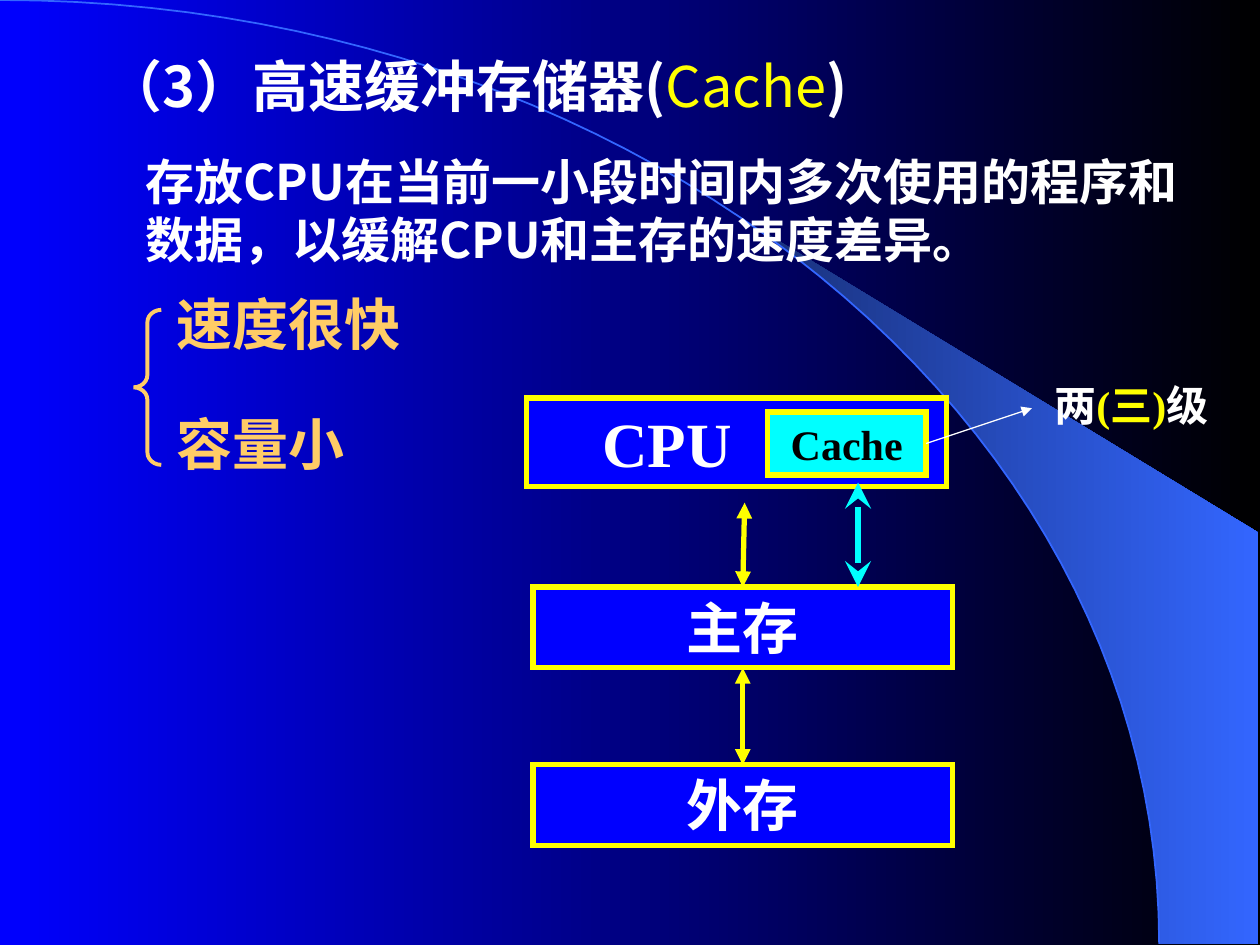
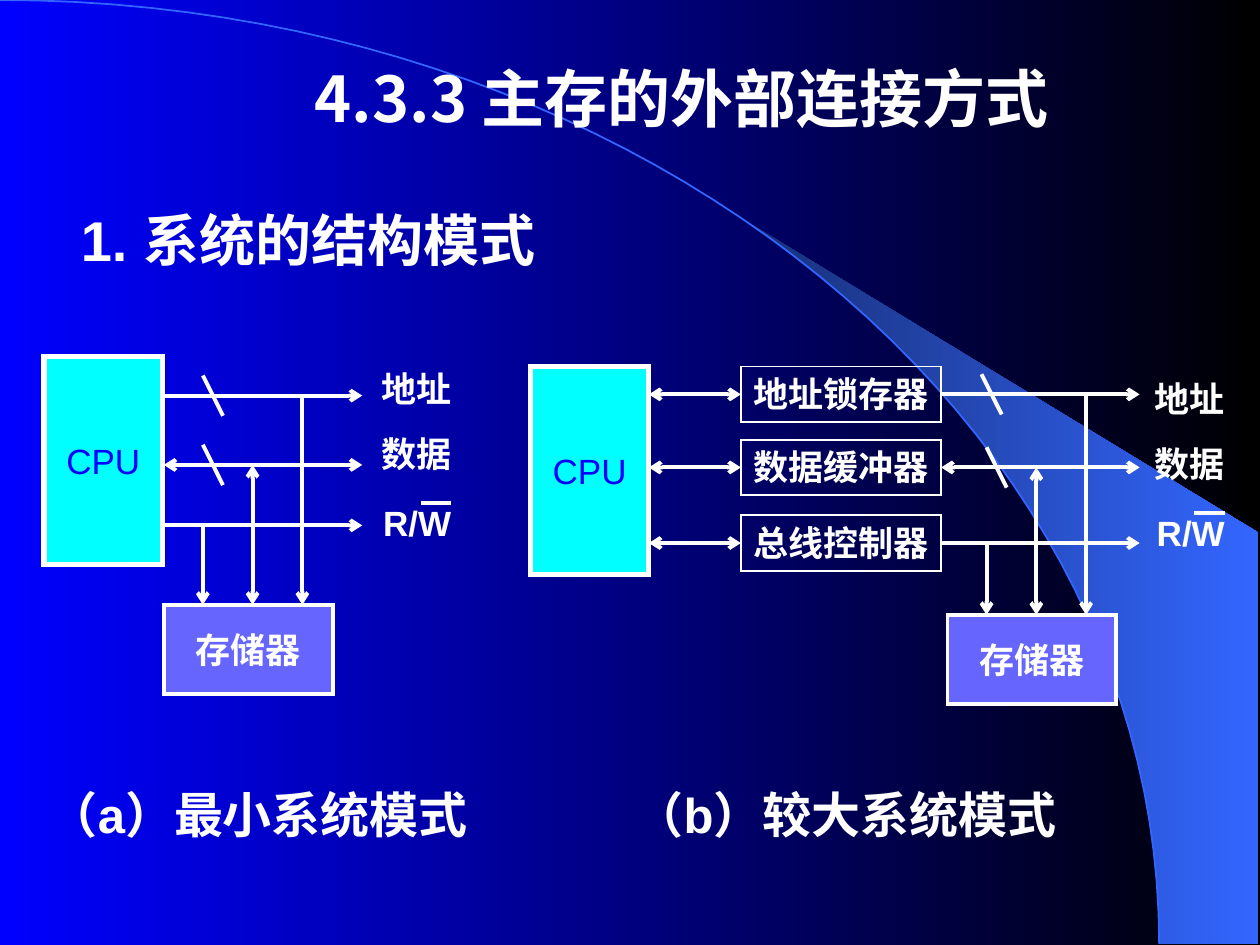
from dataclasses import dataclass
from typing import NamedTuple, Optional

from lxml import etree
from pptx import Presentation
from pptx.dml.color import RGBColor
from pptx.enum import shapes, text
from pptx.oxml import ns
from pptx.util import Emu, Inches, Pt

SLIDE_WIDTH, SLIDE_HEIGHT = Inches(10), Inches(7.5)
COLUMNS, ROWS = 100, 75
LEFT, CENTER, RIGHT = text.PP_ALIGN.LEFT, text.PP_ALIGN.CENTER, text.PP_ALIGN.RIGHT
TOP_SIDE, LEFT_SIDE, BOTTOM_SIDE, RIGHT_SIDE = range(4)


@dataclass(frozen=True)
class Theme:
    """Colours, fonts and type sizes of the deck."""
    blue: str = "0000FF"
    black: str = "000000"
    white: str = "FFFFFF"
    yellow: str = "FFFF00"
    cyan: str = "00FFFF"
    amber: str = "FFCC66"
    violet: str = "6666FF"
    arc: str = "3366FF"
    wedge: str = "182F76"
    cjk: str = "Noto Sans CJK SC"
    sans: str = "Arial"
    serif: str = "Times New Roman"
    title: int = 36
    heading: int = 32
    body: int = 28
    note: int = 24
    label: int = 20
    heavy: float = 3
    medium: float = 2.25
    thin: float = 1
    hair: float = 0.75


THEME = Theme()


class Span(NamedTuple):
    """A stretch of text in one style."""
    words: str
    size: int
    font: str = THEME.cjk
    color: str = THEME.white
    bold: bool = True


class Area(NamedTuple):
    """A rectangle in grid columns and rows."""
    left: float
    top: float
    width: float
    height: float

    @property
    def right(self) -> float:
        """Return the column of the right side."""
        return self.left + self.width

    @property
    def middle(self) -> float:
        """Return the row halfway down."""
        return self.top + self.height / 2


class Block(NamedTuple):
    """Text in an area, with an optional frame around it."""
    area: Area
    spans: tuple
    align: text.PP_ALIGN = LEFT
    wrap: bool = True
    fill: Optional[str] = None
    outline: Optional[str] = None
    weight: float = THEME.heavy
    centred: bool = False
    indent: float = 1


class Wire(NamedTuple):
    """A straight line with optional arrowheads and joined ends."""
    start: tuple
    end: tuple
    color: str = THEME.white
    weight: float = THEME.medium
    head: str = ""
    tail: str = ""
    scale: str = "med"
    begin_at: Optional[tuple] = None
    end_at: Optional[tuple] = None


class BusSystem(NamedTuple):
    """One CPU, its three buses and the memory that taps them."""
    cpu: Area
    memory: Area
    bus_left: float
    bus_rows: tuple
    slash_columns: tuple
    labels_right: float
    labels_top: float
    sources: tuple = (None, None, None)


def col(columns: float) -> Emu:
    """Convert grid columns to a length."""
    return Emu(round(SLIDE_WIDTH * columns / COLUMNS))


def row(rows: float) -> Emu:
    """Convert grid rows to a length."""
    return Emu(round(SLIDE_HEIGHT * rows / ROWS))


def place(area: Area) -> tuple:
    """Convert an area to left, top, width and height."""
    return col(area.left), row(area.top), col(area.width), row(area.height)


def rgb(color: str) -> RGBColor:
    """Convert a hex colour."""
    return RGBColor.from_string(color)


def fade(fill, first: str, last: str) -> None:
    """Fill from left to right between two colours."""
    fill.gradient()
    fill.gradient_angle = 0
    for stop, color in zip(fill.gradient_stops, (first, last)):
        stop.color.rgb = rgb(color)


def stroke(shape, color: str, weight: float):
    """Give a shape a line with sharp corners and return its element."""
    shape.line.color.rgb = rgb(color)
    shape.line.width = Pt(weight)
    outline = shape.element.spPr.find(ns.qn("a:ln"))
    etree.SubElement(outline, ns.qn("a:miter"), lim="800000")
    return outline


def draw_block(slide, block: Block):
    """Draw a text block and return its shape."""
    if block.outline:
        frame = slide.shapes.add_shape(shapes.MSO_SHAPE.RECTANGLE, *place(block.area))
        frame.shadow.inherit = False
        stroke(frame, block.outline, block.weight)
        if block.fill:
            frame.fill.solid()
            frame.fill.fore_color.rgb = rgb(block.fill)
        else:
            frame.fill.background()
    else:
        frame = slide.shapes.add_textbox(*place(block.area))
    body = frame.text_frame
    body.word_wrap = block.wrap
    body.margin_left, body.margin_right = col(block.indent), col(1)
    body.margin_top = body.margin_bottom = row(0.5)
    body.vertical_anchor = text.MSO_ANCHOR.MIDDLE if block.centred else text.MSO_ANCHOR.TOP
    body.auto_size = text.MSO_AUTO_SIZE.NONE if block.centred else text.MSO_AUTO_SIZE.SHAPE_TO_FIT_TEXT
    paragraph = body.paragraphs[0]
    paragraph.alignment = block.align
    for span in block.spans:
        run = paragraph.add_run()
        run.text = span.words
        run.font.size, run.font.bold = Pt(span.size), span.bold
        run.font.color.rgb = rgb(span.color)
        run.font.name = span.font
        etree.SubElement(run.font._element, ns.qn("a:ea"), typeface=THEME.cjk)
    return frame


def draw_wire(slide, wire: Wire) -> None:
    """Draw a straight connector."""
    connector = slide.shapes.add_connector(
        shapes.MSO_CONNECTOR.STRAIGHT, col(wire.start[0]), row(wire.start[1]),
        col(wire.end[0]), row(wire.end[1]))
    if wire.begin_at:
        connector.begin_connect(*wire.begin_at)
    if wire.end_at:
        connector.end_connect(*wire.end_at)
    outline = stroke(connector, wire.color, wire.weight)
    for tag, kind in (("a:headEnd", wire.head), ("a:tailEnd", wire.tail)):
        if kind:
            etree.SubElement(outline, ns.qn(tag), type=kind, w=wire.scale, len=wire.scale)
    etree.SubElement(connector.element.spPr, ns.qn("a:effectLst"))


def draw_outline(slide, points: list, close: bool):
    """Draw a polyline through grid points."""
    (first_x, first_y), *others = [(col(x), row(y)) for x, y in points]
    builder = slide.shapes.build_freeform(first_x, first_y)
    builder.add_line_segments(others, close=close)
    outline = builder.convert_to_shape()
    outline.shadow.inherit = False
    return outline


def arc_point(t: float) -> tuple:
    """Return the point at share t of the sweeping arc."""
    early, late, last = 3 * (1 - t) ** 2 * t, 3 * (1 - t) * t ** 2, t ** 3
    return 50.8 * early + 92 * (late + last), 33.5 * late + 74.9 * last


def add_slide(deck):
    """Add a blank slide with the arc and the wedge beside it."""
    slide = deck.slides.add_slide(deck.slide_layouts[6])
    curve = [arc_point(step / 50) for step in range(51)]
    wedge = draw_outline(slide, curve[22:] + [(99.9, 74.9), (99.9, 42.3)], True)
    fade(wedge.fill, THEME.wedge, THEME.arc)
    wedge.line.fill.background()
    arc = draw_outline(slide, curve, False)
    arc.fill.background()
    stroke(arc, THEME.arc, THEME.thin)
    return slide


def draw_cache(slide) -> None:
    """Draw the cache slide."""
    heading = Span("", THEME.heading)
    amber = heading._replace(color=THEME.amber)
    note = Span("两", THEME.note, THEME.serif)
    for block in (
        Block(Area(7.5, 3.6, 67.7, 6.4), (
            heading._replace(words="（3）高速缓冲存储器("),
            heading._replace(words="Cache", color=THEME.yellow, bold=False),
            heading._replace(words=")"))),
        Block(Area(10.6, 11.5, 87.5, 10.4), (
            Span("存放CPU在当前一小段时间内多次使用的程序和数据，以缓解CPU和主存的速度差异。", THEME.body),)),
        Block(Area(13, 22.5, 25, 6.4), (amber._replace(words="速度很快"),)),
        Block(Area(13, 32, 16.5, 6.4), (amber._replace(words="容量小"),)),
        Block(Area(82.7, 29.6, 16.1, 9), (
            note, note._replace(words="(三)", color=THEME.yellow), note._replace(words="级"))),
    ):
        draw_block(slide, block)

    brace = slide.shapes.add_shape(shapes.MSO_SHAPE.LEFT_BRACE, *place(Area(10.6, 24.6, 2.2, 12.3)))
    brace.shadow.inherit = False
    brace.adjustments[0] = 0.45
    brace.fill.background()
    stroke(brace, THEME.amber, THEME.medium)

    level = Block(Area(42.3, 46.6, 33.3, 6.4), (heading._replace(words="主存"),), CENTER,
                  fill=THEME.blue, outline=THEME.yellow)
    draw_block(slide, level._replace(
        area=Area(41.8, 31.6, 33.3, 7), align=LEFT, indent=6,
        spans=(Span("CPU", THEME.title, THEME.serif),)))
    cache = draw_block(slide, level._replace(
        area=Area(60.9, 32.7, 12.6, 5), fill=THEME.cyan,
        spans=(Span("Cache", THEME.note, THEME.serif, THEME.black),)))
    main_memory = draw_block(slide, level)
    storage = draw_block(slide, level._replace(
        area=level.area._replace(top=60.7), spans=(heading._replace(words="外存"),)))

    transfer = Wire((59.1, 39.9), (59, 46.6), THEME.yellow, THEME.heavy, "triangle", "triangle",
                    end_at=(main_memory, TOP_SIDE))
    for wire in (
        transfer,
        transfer._replace(begin_at=(main_memory, BOTTOM_SIDE), end_at=(storage, TOP_SIDE)),
        Wire((68.1, 38.3), (68.1, 46.6), THEME.cyan, THEME.heavy, "stealth", "stealth", "lg"),
        Wire((73.5, 35.2), (81.9, 32.4), weight=THEME.hair, tail="triangle",
             begin_at=(cache, RIGHT_SIDE)),
    ):
        draw_wire(slide, wire)


def draw_system(slide, system: BusSystem) -> None:
    """Draw a CPU, its buses, their labels and the memory."""
    label = Span("CPU", THEME.label, THEME.sans)
    draw_block(slide, Block(system.cpu, (label._replace(color=THEME.blue, bold=False),), CENTER,
                            False, THEME.cyan, THEME.white, centred=True))
    draw_block(slide, Block(system.memory, (label._replace(words="存储器"),), CENTER, False,
                            THEME.violet, THEME.white, THEME.medium, True))
    buses = zip(("地址", "数据", "R/W"), system.bus_rows, (0, 5.1, 10.6), ("", "arrow", ""), system.sources)
    for index, (name, level, drop, head, source) in enumerate(buses):
        draw_wire(slide, Wire((system.bus_left, level), (system.bus_left + 15.75, level),
                              head=head, tail="arrow",
                              begin_at=(source, RIGHT_SIDE) if source else None))
        tap = system.memory.left + 3.1 + 3.95 * (2 - index)
        draw_wire(slide, Wire((tap, level), (tap, system.memory.top), head=head, tail="arrow"))
        draw_block(slide, Block(Area(system.labels_right - 9, system.labels_top + drop, 9, 4.4),
                                (label._replace(words=name),), RIGHT, False))
    for column, level in zip(system.slash_columns, system.bus_rows):
        draw_wire(slide, Wire((column, level - 1.6), (column + 1.6, level + 1.6)))
    bar = system.labels_top + 11.2
    draw_wire(slide, Wire((system.labels_right - 3.4, bar), (system.labels_right - 1, bar)))


def draw_connections(slide) -> None:
    """Draw the slide on how main memory is connected."""
    caption = Span("（a）最小系统模式", THEME.body, THEME.sans)
    for block in (
        Block(Area(4.2, 4.2, 80, 7), (Span("4.3.3 主存的外部连接方式", THEME.title),), RIGHT),
        Block(Area(1.5, 15.8, 42, 6.4),
              (Span("1. 系统的结构模式", THEME.heading, THEME.sans),), RIGHT, False),
        Block(Area(0, 61.8, 38.1, 5.7), (caption,), RIGHT, False),
        Block(Area(45.8, 61.8, 39, 5.7), (caption._replace(words="（b）较大系统模式"),), RIGHT, False),
    ):
        draw_block(slide, block)

    draw_system(slide, BusSystem(Area(3.5, 28.3, 9.4, 16.5), Area(13, 48, 13.4, 7.1), 13,
                                 (31.4, 36.9, 41.7), (16.1, 16.1), 36.8, 28.7))
    cpu = Area(42.1, 29.1, 9.4, 16.5)
    interfaces, levels = [], []
    for name, top in (("地址锁存器", 29.1), ("数据缓冲器", 34.9), ("总线控制器", 40.9)):
        area = Area(58.8, top, 15.9, 4.4)
        interface = draw_block(slide, Block(area, (Span(name, THEME.label, THEME.sans),), RIGHT, False,
                                            outline=THEME.white, weight=THEME.thin))
        draw_wire(slide, Wire((cpu.right, area.middle), (area.left, area.middle),
                              head="arrow", tail="arrow", end_at=(interface, LEFT_SIDE)))
        interfaces.append(interface)
        levels.append(area.middle)
    draw_system(slide, BusSystem(cpu, Area(75.2, 48.8, 13.4, 7.1), 74.7, tuple(levels),
                                 (77.9, 78.3), 98.2, 29.5, tuple(interfaces)))


def main() -> None:
    """Build and save the deck."""
    deck = Presentation()
    deck.slide_width, deck.slide_height = SLIDE_WIDTH, SLIDE_HEIGHT
    fade(deck.slide_master.background.fill, THEME.blue, THEME.black)
    for draw in (draw_cache, draw_connections):
        draw(add_slide(deck))
    deck.save("out.pptx")


if __name__ == "__main__":
    main()
